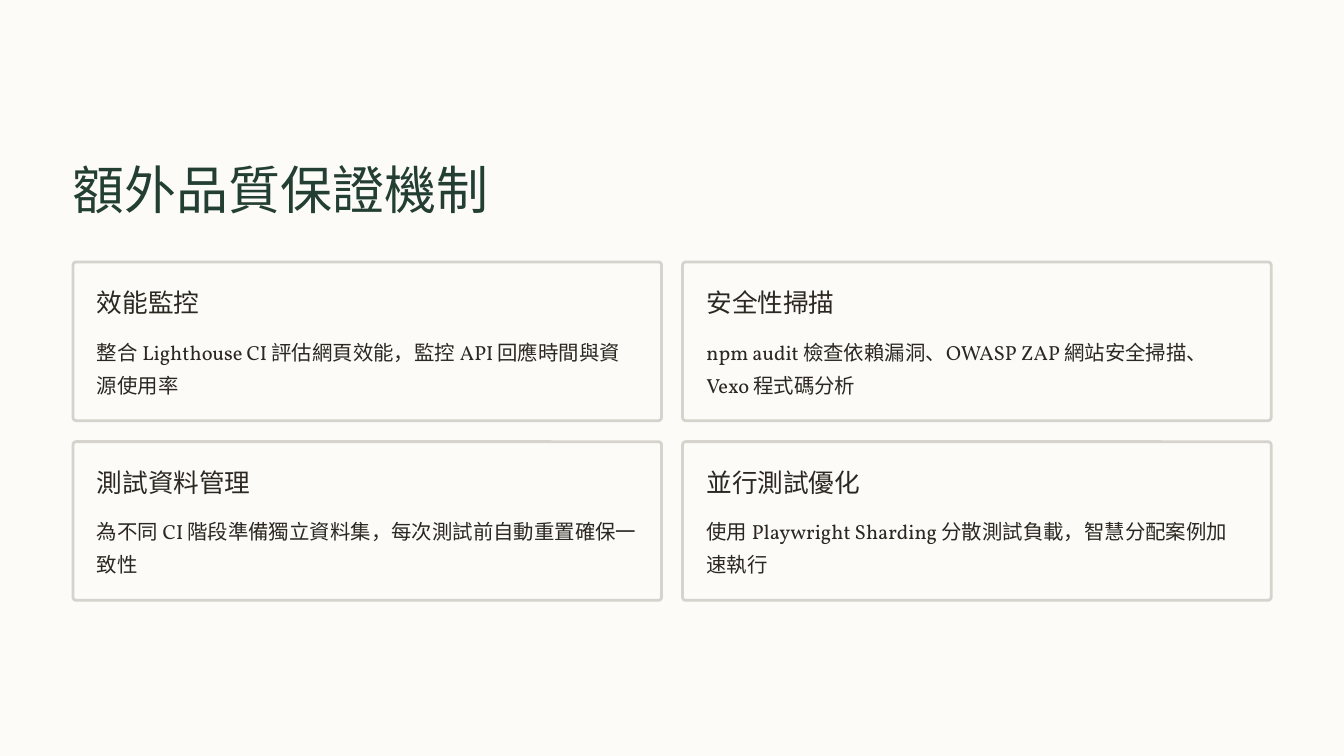
from pptx import Presentation
from pptx.dml.color import RGBColor
from pptx.enum.shapes import MSO_SHAPE as Shape
from pptx.util import Pt

PAPER, GREEN, INK, BORDER = "FCFBF8", "233E32", "2C2821", "D6D3CC"
LEFT, CARDS_TOP = 62.6, 224.6
CARD_WIDTH, CARD_HEIGHT, GAP = 504.5, 136, 18
CARDS = [
    ("效能監控", "整合 Lighthouse CI 評估網頁效能，監控 API 回應時間與資源使用率"),
    ("安全性掃描", "npm audit 檢查依賴漏洞、OWASP ZAP 網站安全掃描、Vexo 程式碼分析"),
    ("測試資料管理", "為不同 CI 階段準備獨立資料集，每次測試前自動重置確保一致性"),
    ("並行測試優化", "使用 Playwright Sharding 分散測試負載，智慧分配案例加速執行"),
]


def color(value):
    """Turn a hex string into a colour."""
    return RGBColor.from_string(value)


def add_text(slide, box, text, font, size, spacing, ink=INK, wrap=False):
    """Place one paragraph in a text box without margins."""
    frame = slide.shapes.add_textbox(*map(Pt, box)).text_frame
    frame.margin_left = frame.margin_right = frame.margin_top = frame.margin_bottom = 0
    frame.word_wrap = wrap
    paragraph = frame.paragraphs[0]
    paragraph.text = text
    paragraph.line_spacing = Pt(spacing)
    paragraph.font.name = font
    paragraph.font.size = Pt(size)
    paragraph.font.color.rgb = color(ink)


def add_card(slide, box, heading, description):
    """Draw an outlined card with a heading and a description."""
    left, top, width, height = box
    shape = slide.shapes.add_shape(Shape.ROUNDED_RECTANGLE, *map(Pt, box))
    shape.adjustments[0] = 0.02
    shape.shadow.inherit = False
    shape.fill.solid()
    shape.fill.fore_color.rgb = color(PAPER)
    shape.line.color.rgb = color(BORDER)
    shape.line.width = Pt(2.4)
    inset = 20.4
    inner_left, inner_width = left + inset, width - 2 * inset
    add_text(slide, (inner_left, top + inset, 223, 28), heading, "Lato", 22, 27.5)
    add_text(slide, (inner_left, top + 59, inner_width, 57), description,
             "Vollkorn", 17.5, 28.5, wrap=True)


def add_card_grid(slide, left, top):
    """Lay the cards out in two columns."""
    for index, (heading, description) in enumerate(CARDS):
        row, column = divmod(index, 2)
        box = (left + column * (CARD_WIDTH + GAP), top + row * (CARD_HEIGHT + GAP),
               CARD_WIDTH, CARD_HEIGHT)
        add_card(slide, box, heading, description)


def main():
    """Build and save the presentation."""
    presentation = Presentation()
    presentation.slide_width, presentation.slide_height = Pt(1152), Pt(648)
    slide = presentation.slides.add_slide(presentation.slide_layouts[6])
    slide.background.fill.solid()
    slide.background.fill.fore_color.rgb = color(PAPER)
    add_text(slide, (LEFT, 133.2, 446, 56), "額外品質保證機制", "Lato", 44.5, 55.5, GREEN)
    add_card_grid(slide, LEFT, CARDS_TOP)
    presentation.save("out.pptx")


if __name__ == "__main__":
    main()
